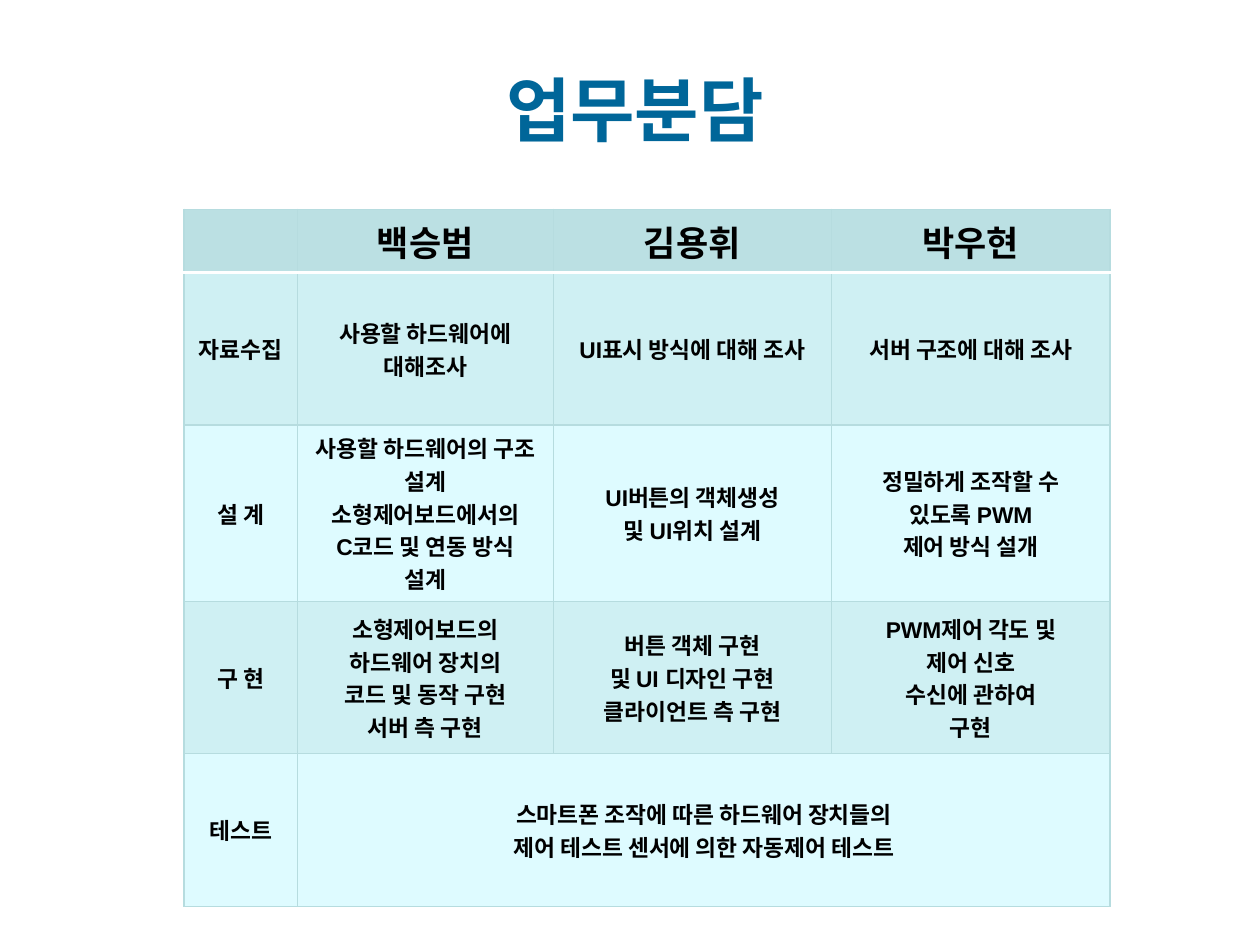
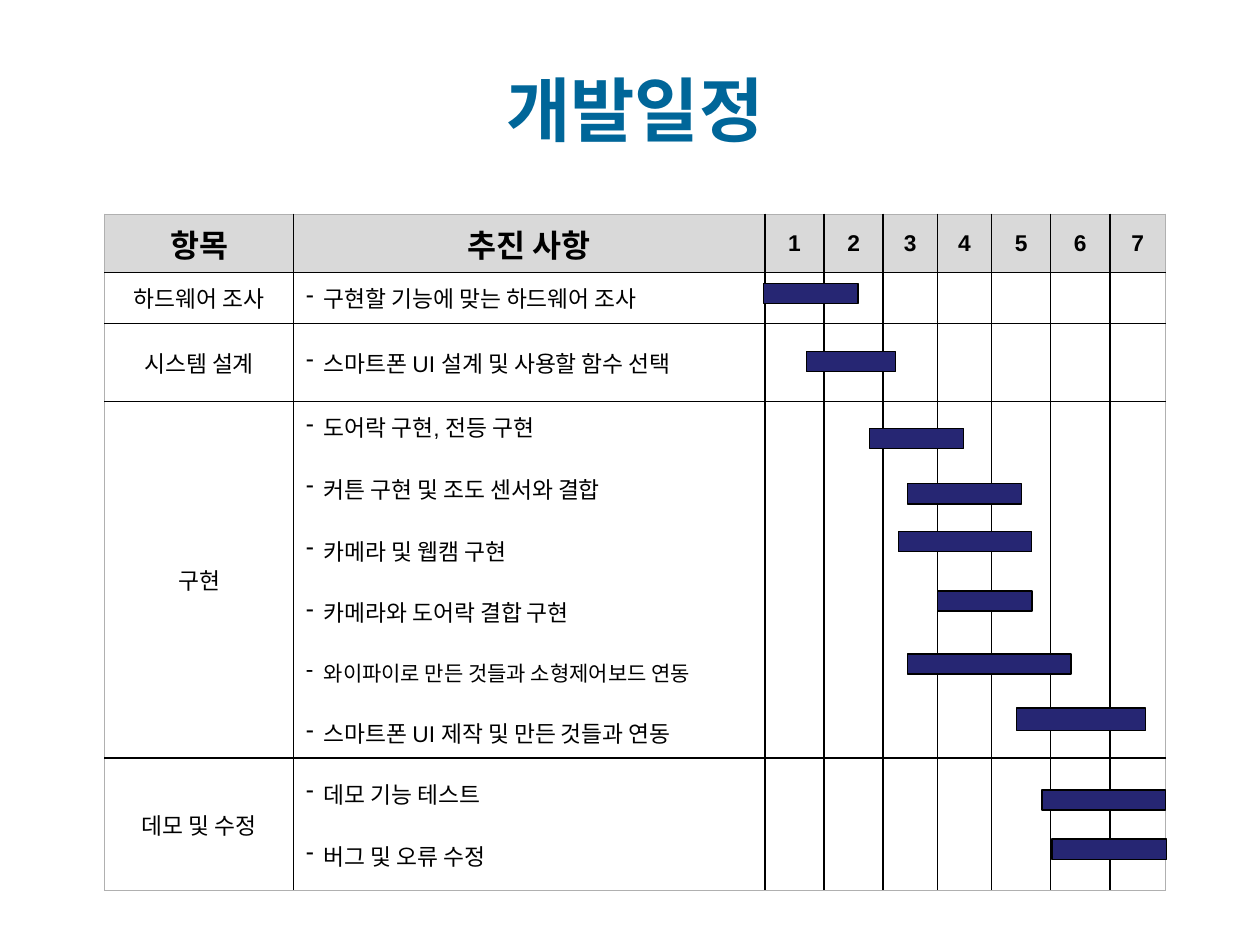
from dataclasses import dataclass

import lxml.etree
import pptx
import pptx.dml.color
import pptx.enum.shapes
import pptx.enum.text
import pptx.oxml.ns
import pptx.util

RGB = pptx.dml.color.RGBColor
ALIGN = pptx.enum.text.PP_ALIGN
MIDDLE = pptx.enum.text.MSO_ANCHOR.MIDDLE
qn = pptx.oxml.ns.qn

PX = 9144
TITLE_BLUE = RGB(0x00, 0x66, 0x99)
BLACK = RGB(0x00, 0x00, 0x00)
WHITE = RGB(0xFF, 0xFF, 0xFF)
TEAL = RGB(0xBB, 0xE0, 0xE3)
TEAL_LINE = RGB(0xB6, 0xDC, 0xDF)
TEAL_BAND = RGB(0xCF, 0xF0, 0xF3)
TEAL_PALE = RGB(0xDE, 0xFB, 0xFF)
GREY = RGB(0xD9, 0xD9, 0xD9)
GREY_LINE = RGB(0xB0, 0xB0, 0xB0)
NAVY = RGB(0x26, 0x26, 0x73)

TITLE_FONT = {"name": "Quicksand", "size": pptx.util.Pt(40), "bold": True}
HEAD_FONT = {"name": "Arial", "size": pptx.util.Pt(20), "bold": True}
ITEM_HEAD_FONT = HEAD_FONT | {"size": pptx.util.Pt(18)}
LABEL_FONT = HEAD_FONT | {"size": pptx.util.Pt(13)}
BODY_FONT = LABEL_FONT | {"bold": False}
SMALL_FONT = BODY_FONT | {"size": pptx.util.Pt(12)}


@dataclass(frozen=True)
class Border:
    color: RGB
    points: float


@dataclass(frozen=True)
class Grid:
    left: int
    top: int
    cols: list[int]
    rows: list[int]
    inner: Border
    outer: Border
    under_head: Border


@dataclass(frozen=True)
class Bar:
    left: int
    top: int
    width: int
    height: int = 16


DUTY_GRID = Grid(146, 166, [90, 203, 221, 221], [49, 121, 125, 121, 121],
                 Border(TEAL_LINE, 0.75), Border(TEAL_LINE, 0.75), Border(WHITE, 2))
DUTIES = [
    ["", "백승범", "김용휘", "박우현"],
    ["자료수집", "사용할 하드웨어에 대해조사", "UI표시 방식에 대해 조사", "서버 구조에 대해 조사"],
    ["설 계",
     "사용할 하드웨어의 구조 설계\n소형제어보드에서의\nC코드 및 연동 방식\n설계",
     "UI버튼의 객체생성\n및 UI위치 설계",
     "정밀하게 조작할 수\n있도록 PWM\n제어 방식 설개"],
    ["구 현",
     "소형제어보드의\n하드웨어 장치의\n코드 및 동작 구현\n서버 측 구현",
     "버튼 객체 구현\n및 UI 디자인 구현\n클라이언트 측 구현",
     "PWM제어 각도 및\n제어 신호\n수신에 관하여\n구현"],
    ["테스트", "스마트폰 조작에 따른 하드웨어 장치들의\n제어 테스트 센서에 의한 자동제어 테스트"],
]

PLAN_GRID = Grid(83, 170, [150, 374, 47, 47, 43, 43, 47, 47, 44], [43, 39, 62, 283, 105],
                 Border(BLACK, 1), Border(GREY_LINE, 0.75), Border(BLACK, 1))
PLAN_HEADS = ["항목", "추진 사항"]
SMALL_TASK = "와이파이로 만든 것들과 소형제어보드 연동"
PLAN = [
    ("하드웨어 조사", ["구현할 기능에 맞는 하드웨어 조사"]),
    ("시스템 설계", ["스마트폰 UI 설계 및 사용할 함수 선택"]),
    ("구현", ["도어락 구현, 전등 구현", "커튼 구현 및 조도 센서와 결합",
            "카메라 및 웹캠 구현", "카메라와 도어락 결합 구현",
            SMALL_TASK, "스마트폰 UI 제작 및 만든 것들과 연동"]),
    ("데모 및 수정", ["데모 기능 테스트", "버그 및 오류 수정"]),
]
BARS = [
    Bar(606, 225, 75), Bar(640, 279, 71), Bar(690, 340, 75), Bar(720, 384, 91),
    Bar(713, 422, 106), Bar(744, 469, 75), Bar(720, 519, 130), Bar(827, 627, 98),
    Bar(807, 562, 102, 18), Bar(835, 666, 91),
]


def px(n: int) -> int:
    return n * PX


def set_run(p, text: str, font: dict, color: RGB = BLACK) -> None:
    r = p.add_run()
    r.text = text
    for key, value in font.items():
        setattr(r.font, key, value)
    r.font.color.rgb = color


def add_titled_slide(prs, title: str):
    s = prs.slides.add_slide(prs.slide_layouts[5])
    sp = s.shapes.title
    place = {"left": px(58), "top": px(30), "width": px(892), "height": px(112)}
    for key, value in place.items():
        setattr(sp, key, value)
    tf = sp.text_frame
    tf.vertical_anchor = MIDDLE
    p = tf.paragraphs[0]
    p.alignment = ALIGN.CENTER
    set_run(p, title, TITLE_FONT, TITLE_BLUE)
    return s


def set_borders(cell, borders: dict[str, Border]) -> None:
    tcPr = cell._tc.get_or_add_tcPr()
    for i, (side, border) in enumerate(borders.items()):
        ln = lxml.etree.Element(qn(f"a:ln{side}"), w=str(pptx.util.Pt(border.points)))
        fill = lxml.etree.SubElement(ln, qn("a:solidFill"))
        lxml.etree.SubElement(fill, qn("a:srgbClr"), val=str(border.color))
        tcPr.insert(i, ln)


def add_grid(s, grid: Grid, fills: list[RGB]):
    n_rows, n_cols = len(grid.rows), len(grid.cols)
    table = s.shapes.add_table(n_rows, n_cols, px(grid.left), px(grid.top),
                               px(sum(grid.cols)), px(sum(grid.rows))).table
    table.horz_banding = False
    for col, width in zip(table.columns, grid.cols):
        col.width = px(width)
    for row, height in zip(table.rows, grid.rows):
        row.height = px(height)

    def edge(i: int, count: int) -> Border:
        return grid.outer if i in (0, count) else grid.inner

    def level(i: int) -> Border:
        return grid.under_head if i == 1 else edge(i, n_rows)

    for i in range(n_rows):
        for j in range(n_cols):
            cell = table.cell(i, j)
            cell.vertical_anchor = MIDDLE
            cell.fill.solid()
            cell.fill.fore_color.rgb = fills[i]
            set_borders(cell, {"L": edge(j, n_cols), "R": edge(j + 1, n_cols),
                               "T": level(i), "B": level(i + 1)})
    return table


def write_centred(cell, text: str, font: dict) -> None:
    tf = cell.text_frame
    for i, line in enumerate(text.split("\n")):
        p = tf.add_paragraph() if i else tf.paragraphs[0]
        p.alignment = ALIGN.CENTER
        set_run(p, line, font)


def write_tasks(cell, tasks: list[str]) -> None:
    tf = cell.text_frame
    for i, task in enumerate(tasks):
        p = tf.add_paragraph() if i else tf.paragraphs[0]
        p.alignment = ALIGN.LEFT
        p.space_before = pptx.util.Pt(16.5 if i else 0)
        pPr = p._p.get_or_add_pPr()
        pPr.set("marL", str(px(14)))
        pPr.set("indent", str(-px(14)))
        lxml.etree.SubElement(pPr, qn("a:buChar"), char="-")
        set_run(p, task, SMALL_FONT if task == SMALL_TASK else BODY_FONT)


def add_bar(s, bar: Bar) -> None:
    sp = s.shapes.add_shape(pptx.enum.shapes.MSO_SHAPE.RECTANGLE, px(bar.left), px(bar.top),
                            px(bar.width), px(bar.height))
    sp.shadow.inherit = False
    sp.fill.solid()
    sp.fill.fore_color.rgb = NAVY
    sp.line.color.rgb = BLACK
    sp.line.width = pptx.util.Pt(0.75)


def build_duties(prs) -> None:
    s = add_titled_slide(prs, "업무분담")
    table = add_grid(s, DUTY_GRID, [TEAL, TEAL_BAND, TEAL_PALE, TEAL_BAND, TEAL_PALE])
    table.cell(4, 1).merge(table.cell(4, 3))
    for i, row in enumerate(DUTIES):
        for j, text in enumerate(row):
            if text:
                write_centred(table.cell(i, j), text, LABEL_FONT if i else HEAD_FONT)


def build_plan(prs) -> None:
    s = add_titled_slide(prs, "개발일정")
    table = add_grid(s, PLAN_GRID, [GREY] + [WHITE] * len(PLAN))
    for j, head in enumerate(PLAN_HEADS):
        write_centred(table.cell(0, j), head, ITEM_HEAD_FONT)
    for month in range(1, 8):
        write_centred(table.cell(0, month + 1), str(month), LABEL_FONT)
    for i, (item, tasks) in enumerate(PLAN, 1):
        write_centred(table.cell(i, 0), item, BODY_FONT)
        write_tasks(table.cell(i, 1), tasks)
    for bar in BARS:
        add_bar(s, bar)


def main() -> None:
    prs = pptx.Presentation()
    prs.slide_width, prs.slide_height = px(1000), px(750)
    build_duties(prs)
    build_plan(prs)
    prs.save("out.pptx")


if __name__ == "__main__":
    main()
